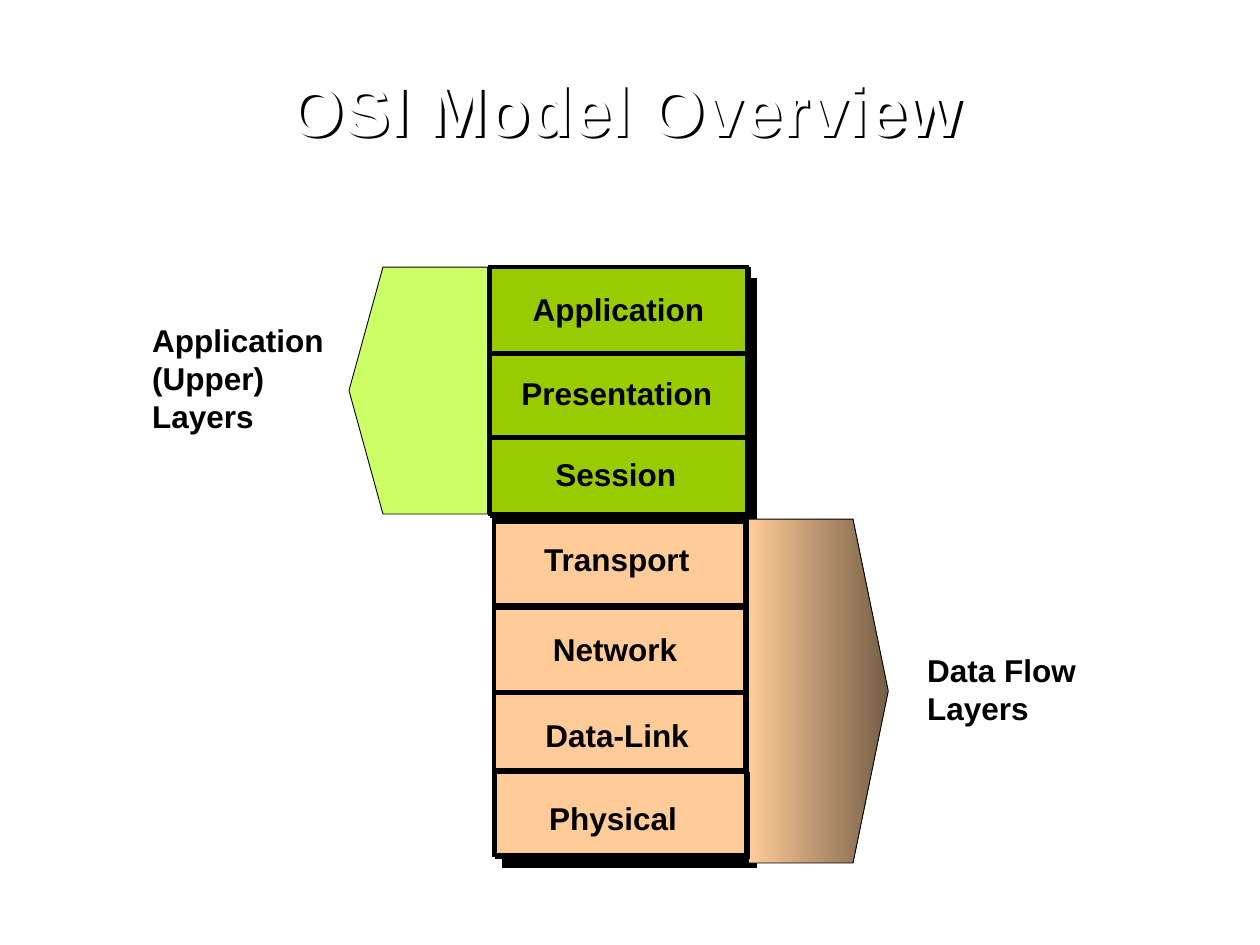
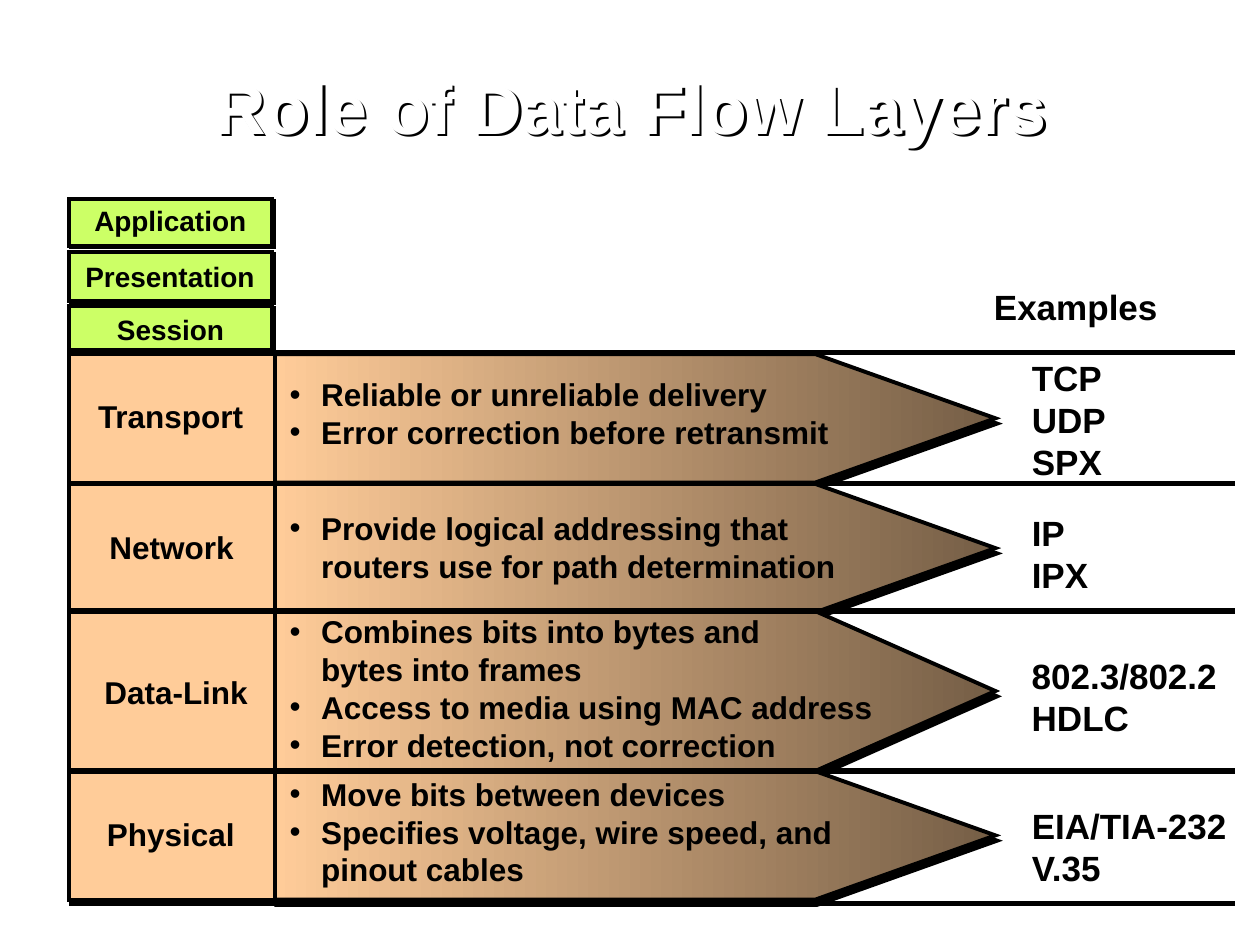
from lxml import etree
from pptx import Presentation
from pptx import util as u
from pptx.dml.color import RGBColor
from pptx.enum import shapes, text
from pptx.oxml.ns import qn

FONT = "Arial"
BLACK, WHITE = "000000", "FFFFFF"
GREEN, LIME, PEACH, BROWN, SKY = "99CC00", "CCFF66", "FFCC99", "755E46", "B0DEF5"


def rgb(value):
    return RGBColor.from_string(value)


def inches(*values):
    return [u.Inches(v) for v in values]


def set_shadow(sp, dist, angle):
    sp.shadow.inherit = False
    effects = sp._element.spPr.find(qn("a:effectLst"))
    shadow = etree.SubElement(effects, qn("a:outerShdw"), blurRad="0",
                              dist=str(u.Pt(dist)), dir=str(angle * 60000),
                              algn="ctr", rotWithShape="0")
    etree.SubElement(shadow, qn("a:srgbClr"), val=BLACK)


def style_shape(sp, fill, width, shadow=None):
    if fill == "fade":
        sp.fill.gradient()
        sp.fill.gradient_angle = 180
        for stop, color in zip(sp.fill.gradient_stops, (BROWN, PEACH)):
            stop.color.rgb = rgb(color)
    else:
        sp.fill.solid()
        sp.fill.fore_color.rgb = rgb(fill)
    sp.line.color.rgb = rgb(BLACK)
    sp.line.width = u.Pt(width)
    etree.SubElement(sp._element.spPr.find(qn("a:ln")), qn("a:miter"), lim="800000")
    sp.shadow.inherit = False
    if shadow:
        set_shadow(sp, *shadow)


def add_rect(slide, box, fill, shadow=None):
    sp = slide.shapes.add_shape(shapes.MSO_SHAPE.RECTANGLE, *inches(*box))
    style_shape(sp, fill, 2.25, shadow)


def add_rule(slide, x, y, length, width):
    line = slide.shapes.add_connector(shapes.MSO_CONNECTOR.STRAIGHT,
                                      *inches(x, y, x + length, y))
    line.line.color.rgb = rgb(BLACK)
    line.line.width = u.Pt(width)
    etree.SubElement(line._element.spPr, qn("a:effectLst"))


def add_pentagon(slide, base, shoulder, tip, top, height, fill, width, shadow=None):
    bottom = top + height
    builder = slide.shapes.build_freeform(*inches(base, top))
    corners = [(shoulder, top), (tip, top + height / 2), (shoulder, bottom), (base, bottom)]
    builder.add_line_segments([inches(*c) for c in corners], close=True)
    style_shape(builder.convert_to_shape(), fill, width, shadow)


def add_run(p, words, size, color=BLACK):
    r = p.add_run()
    r.text = words
    r.font.name = FONT
    r.font.size = u.Pt(size)
    r.font.bold = True
    r.font.color.rgb = rgb(color)


def add_bullet(p):
    pPr = p._p.get_or_add_pPr()
    pPr.set("marL", str(u.Inches(0.25)))
    pPr.set("indent", str(-u.Inches(0.25)))
    color = etree.SubElement(pPr, qn("a:buClr"))
    etree.SubElement(color, qn("a:srgbClr"), val=BLACK)
    etree.SubElement(pPr, qn("a:buFont"), typeface=FONT)
    etree.SubElement(pPr, qn("a:buChar"), char="•")


def add_text(slide, box, paragraphs, size, wrap=False, middle=False, bullets=False):
    tf = slide.shapes.add_textbox(*inches(*box)).text_frame
    tf.word_wrap = wrap
    tf.auto_size = text.MSO_AUTO_SIZE.SHAPE_TO_FIT_TEXT
    if middle:
        tf.vertical_anchor = text.MSO_ANCHOR.MIDDLE
    for i, paragraph in enumerate(paragraphs):
        p = tf.add_paragraph() if i else tf.paragraphs[0]
        if bullets:
            add_bullet(p)
        for j, words in enumerate(paragraph.split("\n")):
            if j:
                p.add_line_break()
            add_run(p, words, size)


def add_titled_slide(prs, title, box):
    slide = prs.slides.add_slide(prs.slide_layouts[5])
    sp = slide.shapes.title
    sp.left, sp.top, sp.width, sp.height = inches(*box)
    sp.fill.background()
    set_shadow(sp, 2, 45)
    tf = sp.text_frame
    tf.auto_size = text.MSO_AUTO_SIZE.NONE
    tf.word_wrap = True
    tf.vertical_anchor = text.MSO_ANCHOR.MIDDLE
    tf.margin_left = tf.margin_right = u.Inches(0.09)
    tf.margin_top = tf.margin_bottom = u.Inches(0.05)
    p = tf.paragraphs[0]
    p.alignment = text.PP_ALIGN.CENTER
    p.line_spacing = 0.9
    add_run(p, title, 40, WHITE)
    return slide


def add_layers(slide, x, y, width, fill, size, layers):
    for name, dy, height, label_dx, label_dy, label_width in layers:
        add_rect(slide, (x, y + dy, width, height), fill, (1.4, 45))
        label_height = 0.4 if size == 18 else 0.37
        add_text(slide, (x + label_dx, y + label_dy, label_width, label_height), [name], size)


def add_data_flow_stack(slide, x, y):
    add_rect(slide, (x, y - 1.98, 1.99, 4.65), SKY, (8.5, 45))
    for dy in (0, 0.69, 1.38, 2.06):
        add_rule(slide, x, y + dy, 2, 2.25)
    add_layers(slide, x, y, 1.99, PEACH, 18, [
        ("Transport", 0.02, 0.66, 0.3, 0.12, 1.38),
        ("Data-Link", 1.37, 0.66, 0.31, 1.51, 1.41),
        ("Network", 0.71, 0.66, 0.37, 0.83, 1.22)])
    add_pentagon(slide, x + 2.02, x + 2.85, x + 3.13, y, 2.73, "fade", 0.5)
    for dx, dy in ((0.01, 1.99), (0.03, 2.66)):
        add_rule(slide, x + dx, y + dy, 2, 2.25)
    add_layers(slide, x + 0.01, y, 1.99, PEACH, 18, [("Physical", 2.01, 0.66, 0.33, 2.17, 1.25)])
    add_text(slide, (x + 3.34, y + 1, 1.45, 0.7), ["Data Flow", "Layers"], 18)


def add_upper_stack(slide, x, y):
    add_text(slide, (x - 2.78, y + 0.38, 1.65, 1), ["Application", "(Upper)", "Layers"], 18)
    for dx, dy in ((0.02, 0.69), (0, 1.38), (-0.01, 0.69), (-0.03, 1.35)):
        add_rule(slide, x + dx, y + dy, 2, 2.25)
    add_layers(slide, x, y, 2.04, GREEN, 18, [
        ("Application", 0, 0.68, 0.24, 0.13, 1.6),
        ("Presentation", 0.69, 0.66, 0.15, 0.8, 1.75),
        ("Session", 1.36, 0.6, 0.42, 1.44, 1.2)])
    add_pentagon(slide, x - 0.02, x - 0.85, x - 1.12, y, 1.96, LIME, 0.5)


def add_role_row(slide, x, y, height, name, label, roles, roles_box, examples, examples_box):
    add_pentagon(slide, x + 1.63, x + 5.92, x + 7.35, y, height, "fade", 2.25, (3.2, 72))
    dy, width, box_height = roles_box
    add_text(slide, (x + 1.65, y + dy, width, box_height), roles, 18, wrap=True, bullets=True)
    add_rect(slide, (x, y, 1.63, height), PEACH)
    dx, dy, width = label
    add_text(slide, (x + dx, y + dy, width, 0.4), [name], 18)
    dy, width, box_height = examples_box
    add_text(slide, (x + 7.54, y + dy, width, box_height), examples, 20,
             wrap=True, middle=True)


def build_overview(prs):
    slide = add_titled_slide(prs, "OSI Model Overview", (0.79, 0.46, 8.34, 0.88))
    add_data_flow_stack(slide, 3.92, 4.12)
    add_upper_stack(slide, 3.89, 2.12)


def build_roles(prs):
    slide = add_titled_slide(prs, "Role of Data Flow Layers", (0.84, 0.26, 8.34, 1.25))
    left = 0.55
    add_layers(slide, left, 1.58, 1.61, LIME, 16, [
        ("Presentation", 0.42, 0.39, 0.03, 0.43, 1.57),
        ("Application", 0, 0.37, 0.1, -0.01, 1.44),
        ("Session", 0.85, 0.35, 0.28, 0.85, 1.08)])
    add_text(slide, (7.79, 2.21, 1.97, 0.44), ["Examples"], 20, wrap=True, middle=True)
    rows = [
        (2.81, 1.02, "Transport", (0.13, 0.29, 1.43),
         ["Reliable or unreliable delivery", "Error correction before retransmit"],
         (0.12, 4.53, 0.7), ["TCP", "UDP", "SPX"], (-0.03, 0.99, 1.1)),
        (3.84, 1.02, "Network", (0.22, 0.3, 1.25),
         ["Provide logical addressing that routers use for path determination"],
         (0.15, 4.68, 0.7), ["IP", "IPX"], (0.17, 0.99, 0.77)),
        (4.85, 1.27, "Data-Link", (0.18, 0.44, 1.37),
         ["Combines bits into bytes and\nbytes into frames",
          "Access to media using MAC address", "Error detection, not correction"],
         (-0.04, 4.83, 1.3), ["802.3/802.2", "HDLC"], (0.29, 1.83, 0.77)),
        (6.12, 1.02, "Physical", (0.2, 0.3, 1.28),
         ["Move bits between devices", "Specifies voltage, wire speed, and\npinout cables"],
         (-0.02, 4.98, 1), ["EIA/TIA-232\nV.35"], (0.21, 1.82, 0.77)),
    ]
    for row in rows:
        add_role_row(slide, left, *row)
    for y in (2.8, 3.84, 4.85, 6.12, 7.17):
        add_rule(slide, left, y, 9.25, 3)


def main():
    prs = Presentation()
    prs.slide_width, prs.slide_height = inches(10, 7.5)
    build_overview(prs)
    build_roles(prs)
    prs.save("out.pptx")


if __name__ == "__main__":
    main()
